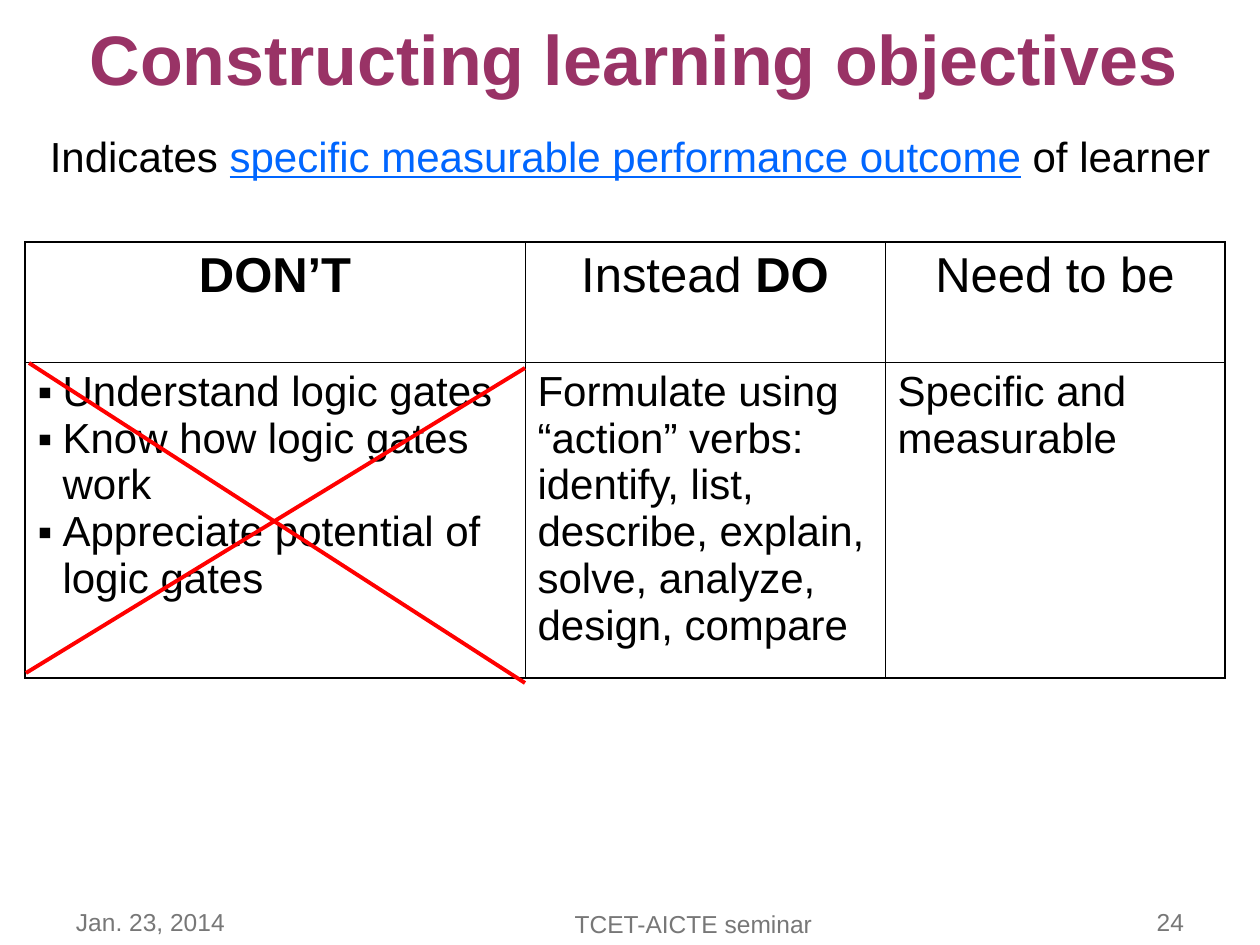
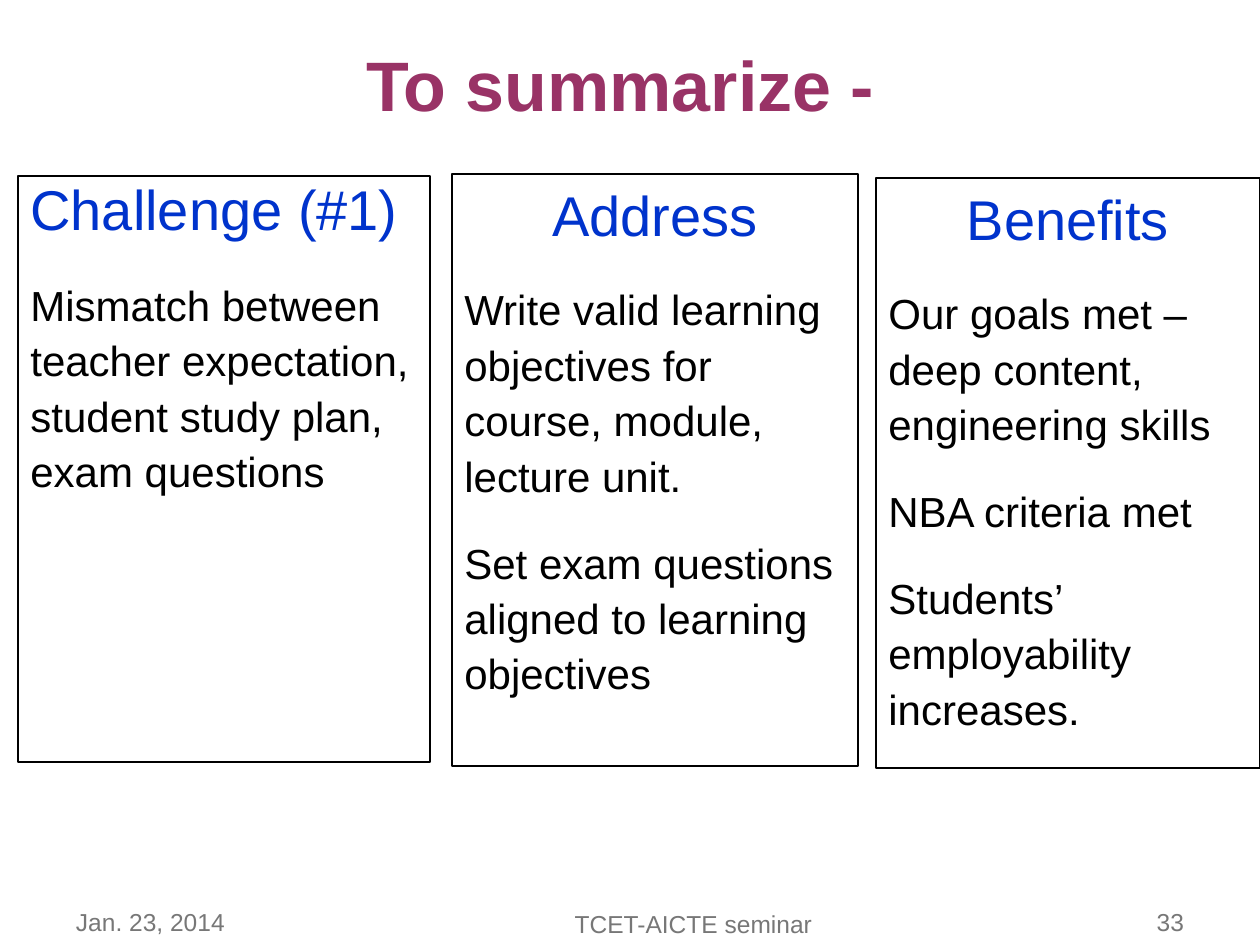
import dataclasses

import lxml.etree
import pptx
import pptx.dml.color
import pptx.enum.shapes
import pptx.enum.text
import pptx.oxml.ns
import pptx.util

PX = 914400 / 126
FONT = "Arial"
COLOURS = {
    "title": "993366",
    "heading": "0033CC",
    "emphasis": "0066FF",
    "text": "000000",
    "cross": "FF0000",
    "footer": "777777",
}
ALIGN = pptx.enum.text.PP_ALIGN
ANCHOR = pptx.enum.text.MSO_ANCHOR
OUTER_BORDER, INNER_BORDER = 1.08, 0.45
BULLET_INDENT = 25


@dataclasses.dataclass
class Span:
    text: str
    size: int = 24
    colour: str = "text"
    bold: bool = False
    underline: bool = False


@dataclasses.dataclass
class Para:
    spans: list
    align: ALIGN = ALIGN.LEFT
    line: float = 1.0
    before: int = 0
    bullet: bool = False


def px(length):
    return pptx.util.Emu(round(length * PX))


def rgb(name):
    return pptx.dml.color.RGBColor.from_string(COLOURS[name])


def add_xml(parent, tag, **attributes):
    child = lxml.etree.SubElement(parent, pptx.oxml.ns.qn(tag))
    for name, value in attributes.items():
        child.set(name, str(value))
    return child


def add_bullet(paragraph):
    properties = paragraph._p.get_or_add_pPr()
    properties.set("marL", str(px(BULLET_INDENT)))
    properties.set("indent", str(-px(BULLET_INDENT)))
    colour = add_xml(properties, "a:buClr")
    add_xml(colour, "a:srgbClr", val=COLOURS["text"])
    add_xml(properties, "a:buFont", typeface=FONT)
    add_xml(properties, "a:buChar", char="▪")


def write(frame, paras):
    for index, para in enumerate(paras):
        paragraph = frame.add_paragraph() if index else frame.paragraphs[0]
        if para.bullet:
            add_bullet(paragraph)
        paragraph.alignment = para.align
        paragraph.line_spacing = para.line
        paragraph.space_before = pptx.util.Pt(para.before)
        for span in para.spans:
            run = paragraph.add_run()
            run.text = span.text
            run.font.name = FONT
            run.font.size = pptx.util.Pt(span.size)
            run.font.bold = span.bold
            run.font.underline = span.underline
            run.font.color.rgb = rgb(span.colour)


def add_text(page, area, paras, side_margin=13):
    box = page.shapes.add_textbox(*map(px, area))
    frame = box.text_frame
    frame.word_wrap = True
    frame.margin_left = frame.margin_right = px(side_margin)
    write(frame, paras)


def add_page(deck, title, area, number, title_line=1.0):
    """Add a page with its title and the shared footers."""
    page = deck.slides.add_slide(deck.slide_layouts[5])
    heading = page.shapes.title
    heading.left, heading.top, heading.width, heading.height = map(px, area)
    frame = heading.text_frame
    frame.word_wrap = True
    frame.auto_size = pptx.enum.text.MSO_AUTO_SIZE.NONE
    frame.vertical_anchor = ANCHOR.MIDDLE
    write(frame, [Para([Span(title, 40, "title", bold=True)], ALIGN.CENTER, title_line)])

    footers = [
        ("Jan. 23, 2014", (63, 901, 294, 55), ALIGN.LEFT),
        ("TCET-AICTE seminar", (494, 903, 399, 55), ALIGN.CENTER),
        (str(number), (1018, 901, 179, 55), ALIGN.RIGHT),
    ]
    for text, footer_area, align in footers:
        add_text(page, footer_area, [Para([Span(text, 14, "footer")], align)])
    return page


def set_borders(cell, widths):
    """Draw borders in the order left, right, top, bottom, ahead of the fill."""
    properties = cell._tc.get_or_add_tcPr()
    for index, (side, width) in enumerate(zip("LRTB", widths)):
        border = add_xml(properties, f"a:ln{side}", w=pptx.util.Pt(width))
        add_xml(add_xml(border, "a:solidFill"), "a:srgbClr", val=COLOURS["text"])
        properties.insert(index, border)


def add_grid(page, left, top, widths, heights, rows):
    area = (left, top, sum(widths), sum(heights))
    table = page.shapes.add_table(len(rows), len(widths), *map(px, area)).table
    table.first_row = table.horz_banding = False
    for column, width in zip(table.columns, widths):
        column.width = px(width)
    for row, height in zip(table.rows, heights):
        row.height = px(height)
    last_row, last_column = len(rows) - 1, len(widths) - 1
    for r, row in enumerate(rows):
        for c, paras in enumerate(row):
            cell = table.cell(r, c)
            cell.fill.background()
            on_edge = (c == 0, c == last_column, r == 0, r == last_row)
            set_borders(cell, [OUTER_BORDER if edge else INNER_BORDER for edge in on_edge])
            write(cell.text_frame, paras)


def add_line(page, start, end):
    line = page.shapes.add_connector(
        pptx.enum.shapes.MSO_CONNECTOR.STRAIGHT, *map(px, start + end))
    line.line.color.rgb = rgb("cross")
    line.line.width = pptx.util.Pt(2.25)
    add_xml(line._element.spPr, "a:effectLst")


def add_panel(page, area, heading, statements):
    panel = page.shapes.add_shape(
        pptx.enum.shapes.MSO_SHAPE.RECTANGLE, *map(px, area))
    panel.shadow.inherit = False
    panel.fill.background()
    panel.line.color.rgb = rgb("text")
    panel.line.width = pptx.util.Pt(0.75)
    frame = panel.text_frame
    frame.word_wrap = True
    frame.vertical_anchor = ANCHOR.TOP
    body = [Para([Span(text)], line=1.1, before=18) for text in statements]
    write(frame, [heading] + body)


def build_objectives(deck):
    page = add_page(deck, "Constructing learning objectives", (73, 21, 1121, 73), 24)
    headings = [
        [Span("DON’T", 28, bold=True)],
        [Span("Instead ", 28), Span("DO", 28, bold=True)],
        [Span("Need to be", 28)],
    ]
    vague_goals = [
        "Understand logic gates",
        "Know how logic gates work",
        "Appreciate potential of logic gates",
    ]
    action_verbs = [
        "Formulate using “action” verbs:",
        "identify, list, describe, explain, solve, analyze, design, compare",
    ]
    rows = [
        [[Para(spans, ALIGN.CENTER)] for spans in headings],
        [
            [Para([Span(text)], bullet=True) for text in vague_goals],
            [Para([Span(text)]) for text in action_verbs],
            [Para([Span("Specific and measurable")])],
        ],
    ]
    add_grid(page, 25, 242, (500, 360, 340), (120, 316), rows)
    add_line(page, (29, 363), (525, 683))
    add_line(page, (525, 368), (26, 673))
    summary = [
        Span("Indicates "),
        Span("specific measurable performance outcome", colour="emphasis", underline=True),
        Span(" of learner"),
    ]
    add_text(page, (0, 130, 1260, 58), [Para(summary, ALIGN.CENTER, 0.9)], side_margin=0)


def build_summary(deck):
    page = add_page(deck, "To summarize - ", (0, 32, 1260, 94), 33, title_line=1.1)
    panels = [
        ((18, 176, 412, 586), "Challenge (#1)", ALIGN.LEFT, 0.9, [
            "Mismatch between teacher expectation, student study plan, exam questions",
        ]),
        ((452, 174, 406, 592), "Address", ALIGN.CENTER, 1.0, [
            "Write valid learning objectives for course, module, lecture unit.",
            "Set exam questions aligned to learning objectives",
        ]),
        ((876, 178, 384, 590), "Benefits", ALIGN.CENTER, 1.0, [
            "Our goals met – deep content, engineering skills",
            "NBA criteria met",
            "Students’ employability increases.",
        ]),
    ]
    for area, name, align, line, statements in panels:
        heading = Para([Span(name, 32, "heading")], align, line)
        add_panel(page, area, heading, statements)


def main():
    deck = pptx.Presentation()
    deck.slide_width, deck.slide_height = px(1260), px(945)
    build_objectives(deck)
    build_summary(deck)
    deck.save("out.pptx")


if __name__ == "__main__":
    main()
